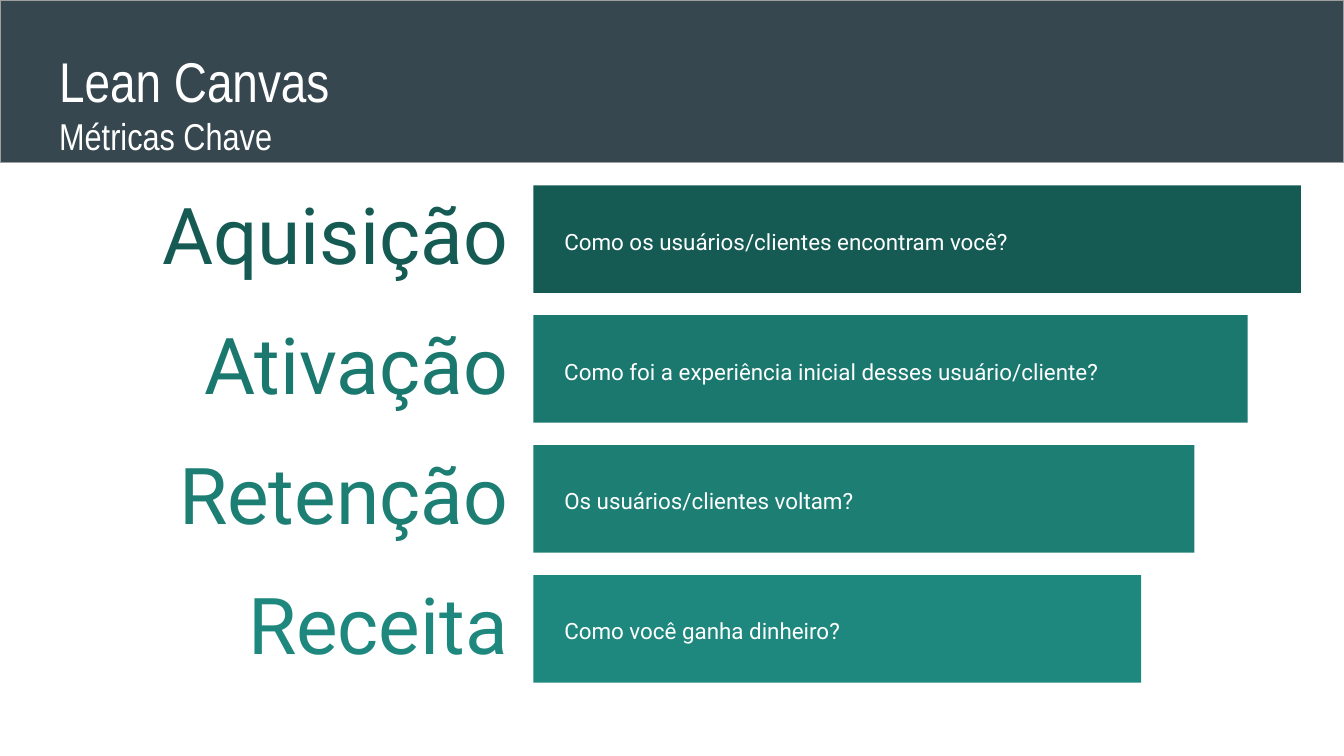
import pptx
import pptx.util
import pptx.dml.color
import pptx.enum.shapes
import pptx.enum.text

Pt = pptx.util.Pt
ALIGN = pptx.enum.text.PP_ALIGN
ANCHOR = pptx.enum.text.MSO_ANCHOR

COLORS = {
    "header": "37474F",
    "border": "9E9E9E",
    "white": "FFFFFF",
    "acquisition": "155B54",
    "activation": "1B786E",
    "retention": "1D7E74",
    "revenue": "1F887E",
}

METRICS = [
    ("Aquisição", "Como os usuários/clientes encontram você?", "acquisition", 208, 375),
    ("Ativação", "Como foi a experiência inicial desses usuário/cliente?", "activation", 178.5, 344),
    ("Retenção", "Os usuários/clientes voltam?", "retention", 208, 303),
    ("Receita", "Como você ganha dinheiro?", "revenue", 176, 303),
]


def rgb(name):
    return pptx.dml.color.RGBColor.from_string(COLORS[name])


def write(p, text, size, font="Roboto", color="white", align=ALIGN.LEFT, spacing=1.0):
    p.alignment = align
    p.line_spacing = spacing
    p.space_before = p.space_after = Pt(0)
    r = p.add_run()
    r.text = text
    r.font.name = font
    r.font.size = Pt(size)
    r.font.color.rgb = rgb(color)


def set_frame(tf, anchor, pad_y):
    tf.word_wrap = True
    tf.auto_size = pptx.enum.text.MSO_AUTO_SIZE.NONE
    tf.vertical_anchor = anchor
    tf.margin_left = tf.margin_right = Pt(7.2)
    tf.margin_top = tf.margin_bottom = Pt(pad_y)


def add_rect(s, x, y, w, h, fill, line=None):
    sp = s.shapes.add_shape(pptx.enum.shapes.MSO_SHAPE.RECTANGLE, Pt(x), Pt(y), Pt(w), Pt(h))
    sp.shadow.inherit = False
    sp.fill.solid()
    sp.fill.fore_color.rgb = rgb(fill)
    if line:
        sp.line.color.rgb = rgb(line)
        sp.line.width = Pt(0.75)
    else:
        sp.line.fill.background()
    return sp


def add_text(s, x, y, w, h, text, **fmt):
    sp = s.shapes.add_textbox(Pt(x), Pt(y), Pt(w), Pt(h))
    set_frame(sp.text_frame, ANCHOR.MIDDLE, 3.6)
    write(sp.text_frame.paragraphs[0], text, **fmt)


def add_header(s, x, y, w, h):
    band = add_rect(s, x, y, w, h, "header", "border")
    title = s.shapes.title
    title.element.addprevious(band.element)
    title.left, title.top = Pt(x + 24.5), Pt(y + 17.5)
    title.width, title.height = Pt(w - 49), Pt(45.5)
    tf = title.text_frame
    set_frame(tf, ANCHOR.TOP, 7.2)
    write(tf.paragraphs[0], "Lean Canvas", 30, font="Arial Narrow")
    write(tf.add_paragraph(), "Métricas Chave", 20, font="Arial Narrow")


def add_metric(s, x, y, w, h, label, question, color, label_w, question_w):
    label_h, question_h = 49.5, 26
    add_text(s, x - 6.5 - label_w, y + (h - label_h) / 2, label_w, label_h, label,
             size=42, color=color, align=ALIGN.RIGHT, spacing=0.9)
    add_rect(s, x, y, w, h, color)
    add_text(s, x + 9.5, y + (h - question_h) / 2, question_w, question_h, question,
             size=12, spacing=1.15)


def add_funnel(s, x, y, w, h):
    bar_h, narrowing = 57.6, 28.5
    pitch = (h - bar_h) / (len(METRICS) - 1)
    for i, metric in enumerate(METRICS):
        add_metric(s, x, y + i * pitch, w - i * narrowing, bar_h, *metric)


def main():
    prs = pptx.Presentation()
    prs.slide_width, prs.slide_height = Pt(720), Pt(405)
    s = prs.slides.add_slide(prs.slide_layouts[5])
    add_header(s, 0, 0, 720, 87)
    add_funnel(s, 285.7, 99.3, 411.2, 266.4)
    prs.save("out.pptx")


if __name__ == "__main__":
    main()
